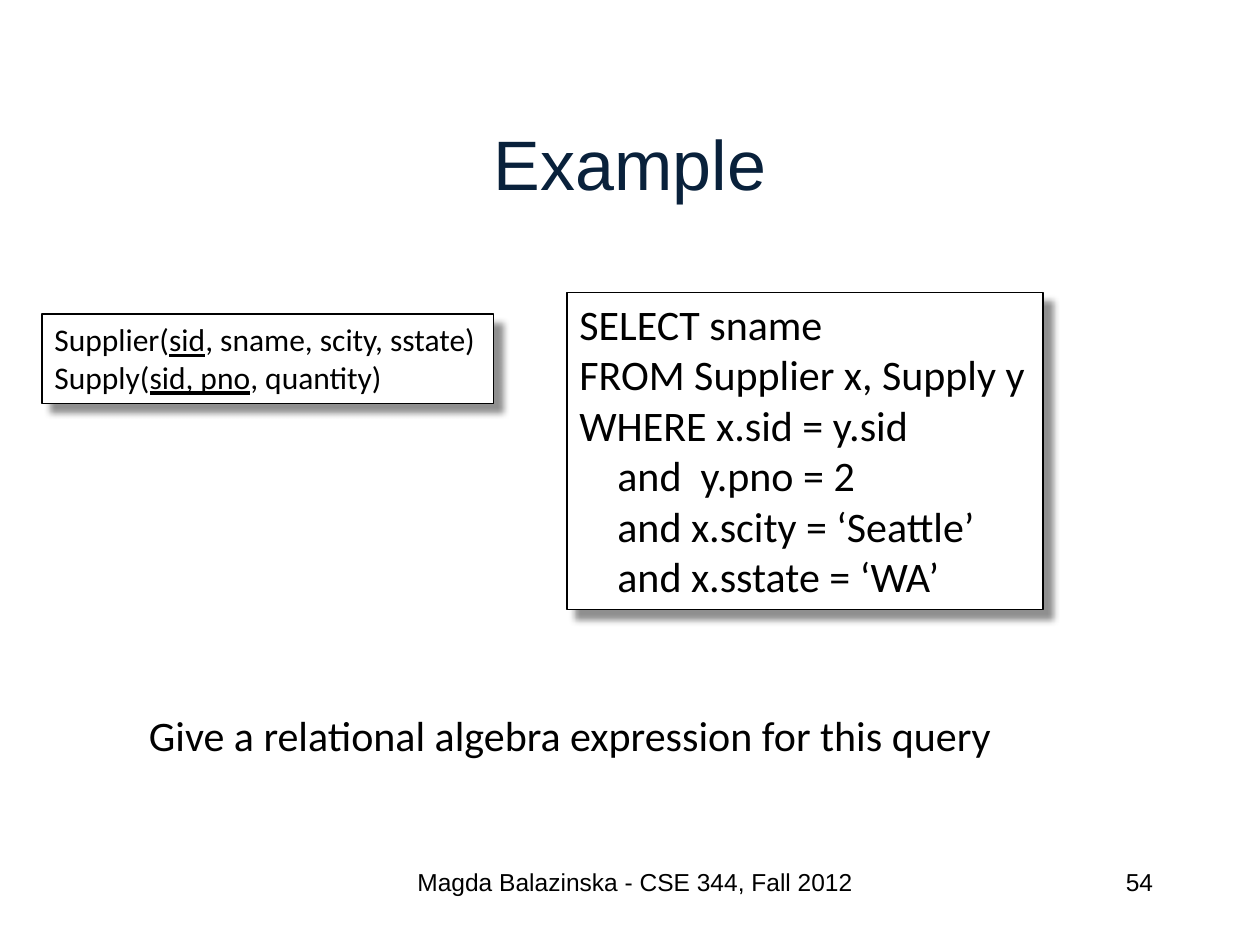
from lxml.etree import SubElement
from pptx import Presentation
from pptx.dml.color import RGBColor
from pptx.enum.shapes import MSO_SHAPE
from pptx.enum.text import MSO_ANCHOR, MSO_AUTO_SIZE, PP_ALIGN
from pptx.oxml.ns import qn
from pptx.util import Pt

COLORS = {"title": "09213B", "ink": "000000", "paper": "FFFFFF"}

SCHEMA = [
    [("Supplier(", False), ("sid", True), (", sname, scity, sstate)", False)],
    [("Supply(", False), ("sid, pno", True), (", quantity)", False)],
]
QUERY = [
    [("SELECT sname", False)],
    [("FROM Supplier x, Supply y", False)],
    [("WHERE x.sid = y.sid\v    and  y.pno = 2\v"
      "    and x.scity = ‘Seattle’\v    and x.sstate = ‘WA’", False)],
]


def color(name):
    return RGBColor.from_string(COLORS[name])


def place(part, bounds):
    part.left, part.top, part.width, part.height = map(Pt, bounds)


def format_text(frame, size, font, ink="ink", align=PP_ALIGN.LEFT):
    for paragraph in frame.paragraphs:
        paragraph.alignment = align
        paragraph.font.size = Pt(size)
        for run in paragraph.runs:
            run.font.size = Pt(size)
            run.font.name = font
            run.font.color.rgb = color(ink)


def add_title(slide, text, bounds):
    title = slide.shapes.title
    place(title, bounds)
    title.text_frame.text = text
    title.text_frame.vertical_anchor = MSO_ANCHOR.MIDDLE
    format_text(title.text_frame, 40, "Arial", "title", PP_ALIGN.CENTER)


def add_label(slide, text, bounds, size, font, align=PP_ALIGN.LEFT):
    frame = slide.shapes.add_textbox(*map(Pt, bounds)).text_frame
    frame.word_wrap = True
    frame.text = text
    format_text(frame, size, font, align=align)


def add_drop_shadow(card):
    card.shadow.inherit = False
    effects = card._element.spPr.find(qn("a:effectLst"))
    shadow = SubElement(effects, qn("a:outerShdw"), blurRad=str(Pt(4)),
                        dist=str(Pt(7)), dir="2700000", algn="tl",
                        rotWithShape="0")
    tint = SubElement(shadow, qn("a:srgbClr"), val=COLORS["ink"])
    SubElement(tint, qn("a:alpha"), val="43000")


def add_card(slide, lines, bounds, size, wrap):
    card = slide.shapes.add_shape(MSO_SHAPE.RECTANGLE, *map(Pt, bounds))
    card.fill.solid()
    card.fill.fore_color.rgb = color("paper")
    card.line.color.rgb = color("ink")
    card.line.width = Pt(0.75)
    add_drop_shadow(card)
    frame = card.text_frame
    frame.word_wrap = wrap
    frame.auto_size = MSO_AUTO_SIZE.SHAPE_TO_FIT_TEXT
    frame.vertical_anchor = MSO_ANCHOR.TOP
    frame.text = "\n".join("" for _ in lines)
    for paragraph, pieces in zip(frame.paragraphs, lines):
        if len(pieces) == 1:
            paragraph.text = pieces[0][0]
            continue
        for text, is_key in pieces:
            run = paragraph.add_run()
            run.text = text
            run.font.underline = is_key
    format_text(frame, size, "Calibri")


def main():
    deck = Presentation()
    deck.slide_width, deck.slide_height = Pt(720), Pt(540)
    slide = deck.slides.add_slide(deck.slide_layouts[5])

    add_title(slide, "Example", (54, 48, 612, 90))
    add_label(slide, "Magda Balazinska - CSE 344, Fall 2012",
              (228, 492, 270, 36), 14, "Arial", PP_ALIGN.CENTER)
    add_label(slide, "54", (516, 492, 150, 36), 14, "Arial", PP_ALIGN.RIGHT)
    add_card(slide, SCHEMA, (24, 179.5, 258, 51), 18, True)
    add_card(slide, QUERY, (324, 167, 272, 181.5), 24, False)
    add_label(slide, "Give a relational algebra expression for this query",
              (78, 402, 588, 36.5), 24, "Calibri")

    deck.save("out.pptx")


if __name__ == "__main__":
    main()
